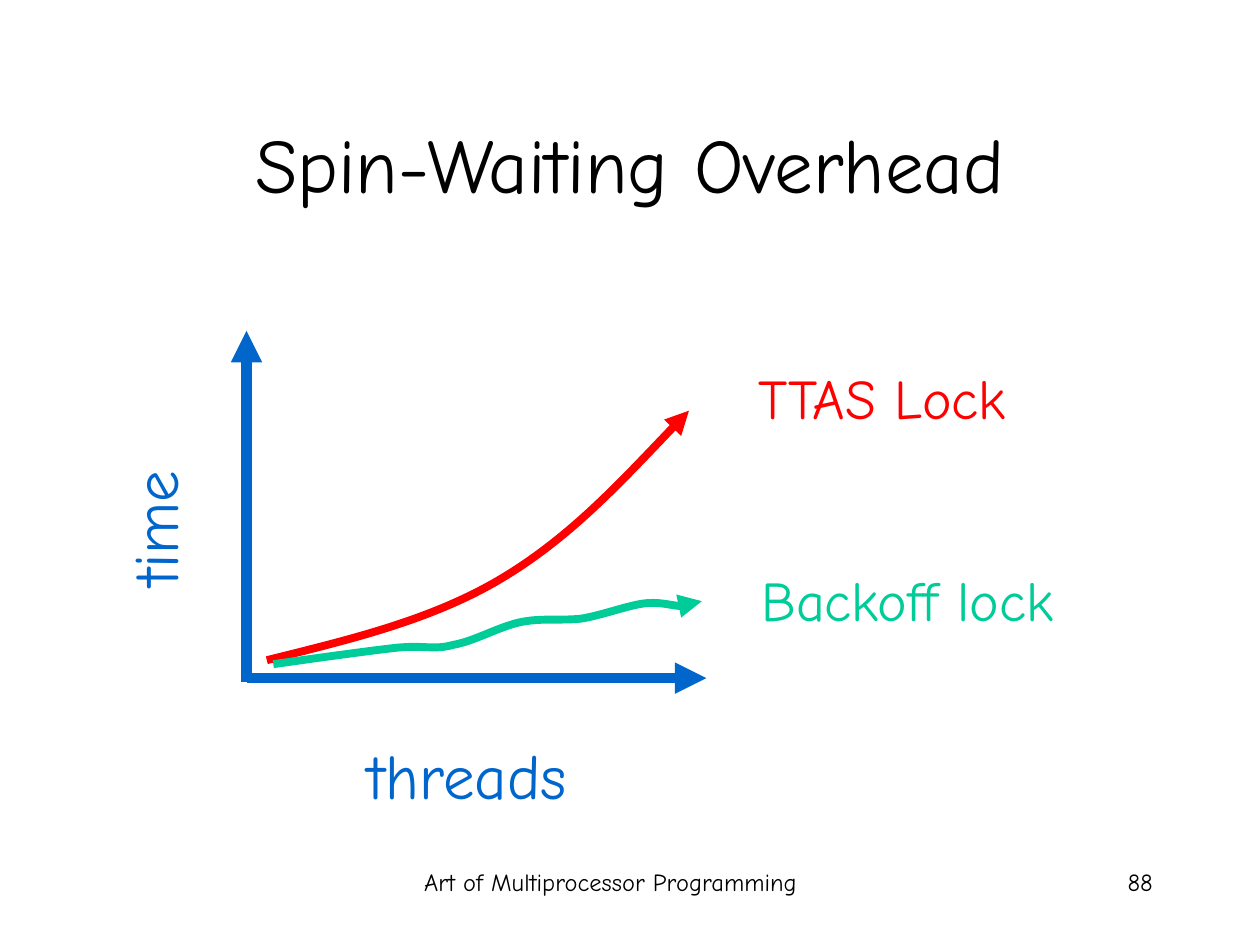
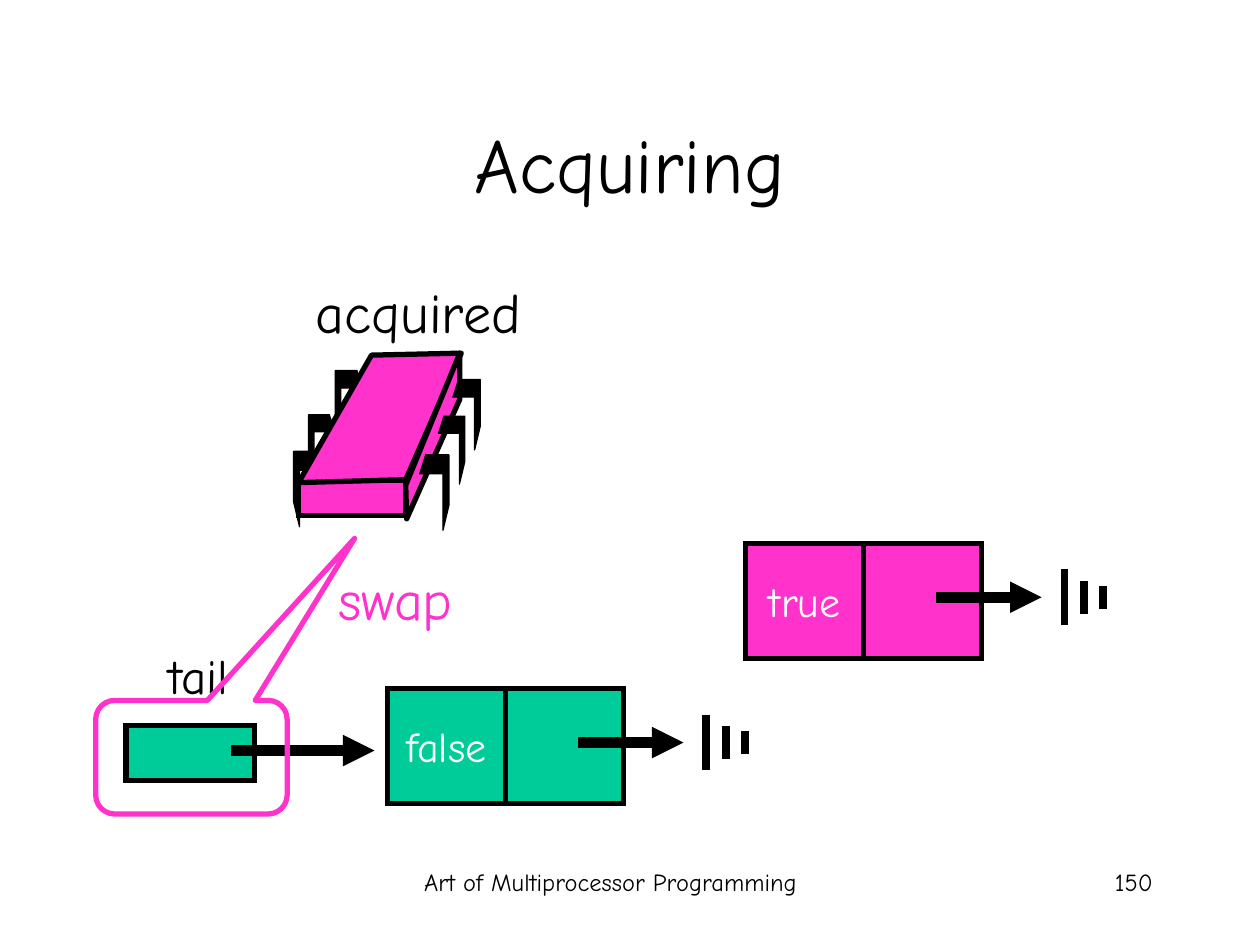
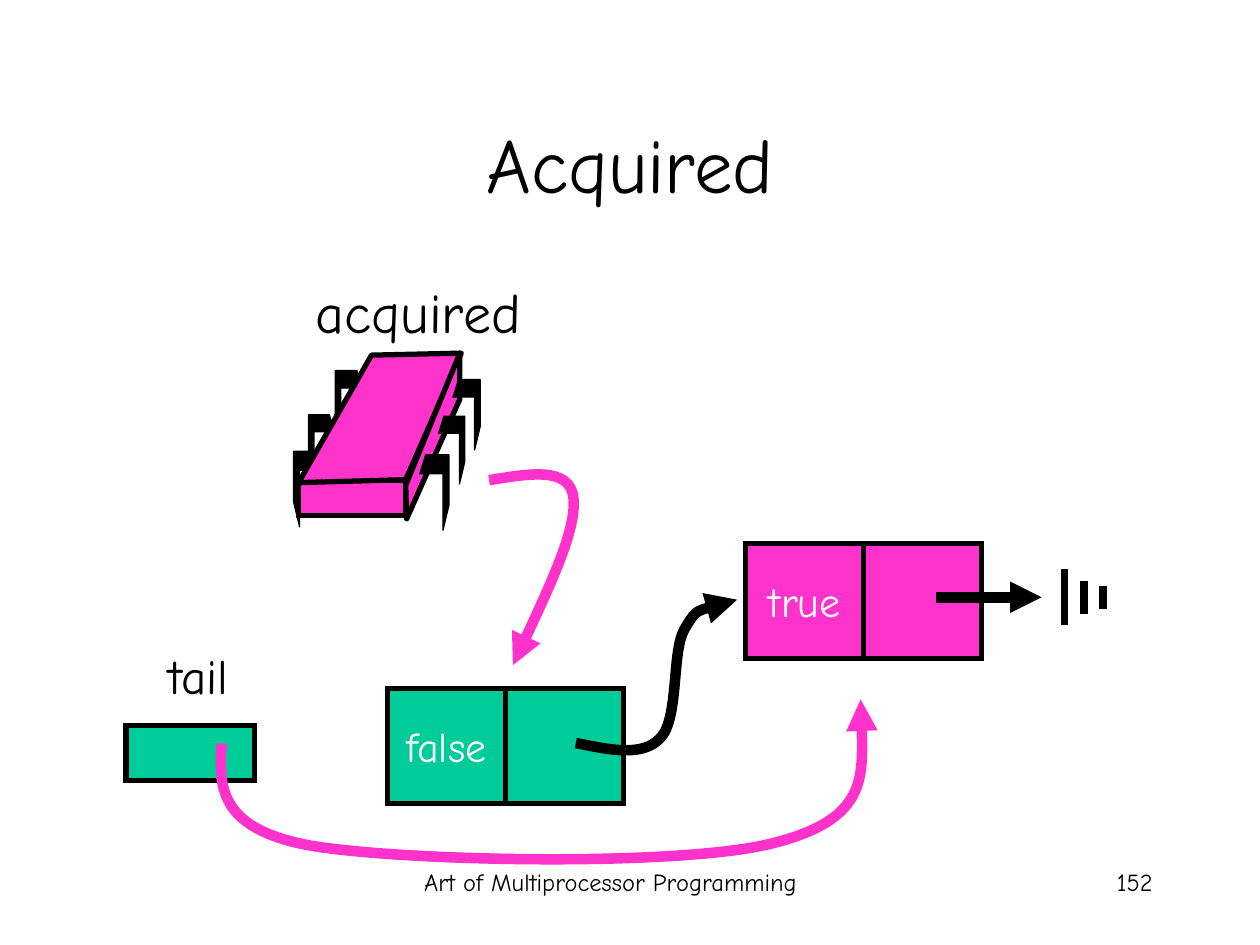
"""Build three lecture slides on spin locks and queue locks."""
from dataclasses import dataclass

from lxml import etree
from pptx import Presentation
from pptx.dml.color import RGBColor
from pptx.enum.shapes import MSO_CONNECTOR, MSO_SHAPE
from pptx.enum.text import MSO_ANCHOR, MSO_AUTO_SIZE, PP_ALIGN
from pptx.oxml.ns import qn
from pptx.util import Cm, Pt

LEFT, CENTER, RIGHT = PP_ALIGN.LEFT, PP_ALIGN.CENTER, PP_ALIGN.RIGHT
MIDDLE = MSO_ANCHOR.MIDDLE
FIT_SHAPE = MSO_AUTO_SIZE.SHAPE_TO_FIT_TEXT
STRAIGHT = MSO_CONNECTOR.STRAIGHT
RECT, CALLOUT = MSO_SHAPE.RECTANGLE, MSO_SHAPE.ROUNDED_RECTANGULAR_CALLOUT


@dataclass(frozen=True)
class Theme:
    font: str = "Comic Neue"
    black: str = "000000"
    white: str = "FFFFFF"
    blue: str = "0066CC"
    red: str = "FF0000"
    green: str = "00CC99"
    pink: str = "FF33CC"
    title: int = 44
    axis: int = 36
    label: int = 32
    small_label: int = 28
    cell: int = 24
    footer: int = 14
    thick: float = 6
    medium: float = 4.5
    border: float = 3
    hair: float = 0.75


T = Theme()

FOOTER = "Art of Multiprocessor Programming"
FOOTER_BOX = (7.33, 17.35, 9.96, 1.27)
NUMBER_BOX = (18.21, 17.35, 5.28, 1.27)
TITLE_BOX = (1.9, 1.68, 21.6, 3.18)

AXES = [((4.97, 13.74), (4.97, 6.67)), ((4.97, 13.67), (14.24, 13.67))]
AXIS_LABELS = [("time", (1.7, 9.75, 3.05, 2.03), 270),
               ("threads", (7.06, 14.72, 4.62, 2.03), 0)]
SERIES = [
    ("TTAS Lock", T.red, (14.94, 7.21, 5.59, 1.63),
     [(5.38, 13.31),
      (7.01, 12.9), (8.66, 12.52), (10.08, 11.68),
      (11.48, 10.85), (12.67, 9.55), (13.89, 8.28)]),
    ("Backoff lock", T.green, (15.06, 11.28, 6.43, 1.63),
     [(5.51, 13.39),
      (6.43, 13.26), (7.37, 13.13), (7.98, 13.06),
      (8.56, 13), (8.74, 13.11), (9.14, 13),
      (9.55, 12.93), (10.03, 12.65), (10.46, 12.55),
      (10.9, 12.45), (11.3, 12.52), (11.73, 12.47),
      (12.14, 12.4), (12.62, 12.22), (12.95, 12.17),
      (13.28, 12.12), (13.56, 12.22), (13.77, 12.22),
      (13.97, 12.22), (14.05, 12.17), (14.15, 12.12)]),
]

CELL_W, CELL_H = 2.38, 2.32
FALSE_NODE = ("false", T.green, 7.81, 13.88)
TRUE_NODE = ("true", T.pink, 15.03, 10.95)
NULL_START, NULL_LENGTH, NULL_Y = 3.84, 2.13, 1.09
GROUND_X, GROUND_GAP, GROUND_HALVES = 6.43, 0.39, (0.56, 0.33, 0.23)

TAIL_BOX = (2.54, 14.62, 2.59, 1.12)
TAIL_LABEL = (3.15, 12.88, 1.81, 1.45)
TAIL_ARROW = ((4.65, 15.13), (7.55, 15.13))
SWAP_CALLOUT = (1.93, 14.12, 3.86, 2.29)
SWAP_POINTER = (0.852, -1.926, 0.167)
SWAP_LABEL = (4.94, 11.25, 6.07, 1.63)

CHIP_LABEL = (6.1, 5.46, 4.67, 1.63)
CHIP_FRONT = (6.02, 9.69, 2.16, 0.71)
CHIP_TOP = [(6.02, 9.73), (8.18, 9.67), (9.3, 7.12), (7.49, 7.16)]
CHIP_SIDE = [(9.27, 7.12), (9.27, 8.05), (8.2, 10.46), (8.18, 9.78)]
LEG_OUTLINE = [(0.8, 0), (0, 0), (0, 0.67), (0.2, 1), (0.2, 0.25), (1, 0.25)]
LEG_SIZES = [(0.6, 1.52), (0.54, 1.37), (0.56, 1.42)]
LEFT_LEGS = [(5.92, 9.1), (6.22, 8.36), (6.76, 7.47)]
RIGHT_LEGS = [(8.45, 9.17), (8.83, 8.39), (9.12, 7.65)]

QUEUE_LINKS = [
    (T.pink, [(9.86, 9.68),
              (10.67, 9.55), (11.48, 9.4), (11.56, 10.03),
              (11.63, 10.64), (11, 12.01), (10.34, 13.41)]),
    (T.pink, [(4.47, 14.99),
              (4.42, 15.82), (4.37, 16.69), (6.22, 17.04),
              (8.08, 17.37), (13.79, 17.48), (15.62, 16.99),
              (17.48, 16.51), (17.42, 15.29), (17.35, 14.1)]),
    (T.black, [(11.61, 14.98),
               (12.27, 15.11), (12.95, 15.27), (13.31, 14.88),
               (13.69, 14.5), (13.54, 13.16), (13.79, 12.7),
               (14.05, 12.24), (14.45, 12.17), (14.86, 12.09)]),
]


def cm(values):
    return [Cm(v) for v in values]


def write(tf, text, size, color, align):
    p = tf.paragraphs[0]
    p.text, p.alignment = text, align
    p.font.name, p.font.size = T.font, Pt(size)
    p.font.color.rgb = RGBColor.from_string(color)


def add_text(shapes, text, box, size, color=T.black, align=LEFT, wrap=False):
    sp = shapes.add_textbox(*cm(box))
    sp.text_frame.word_wrap = wrap
    if not wrap:
        sp.text_frame.auto_size = FIT_SHAPE
    write(sp.text_frame, text, size, color, align)
    return sp


def paint(sp, fill, line, width):
    sp.shadow.inherit = False
    if fill:
        sp.fill.solid()
        sp.fill.fore_color.rgb = RGBColor.from_string(fill)
    else:
        sp.fill.background()
    sp.line.color.rgb = RGBColor.from_string(line)
    sp.line.width = Pt(width)


def add_line_part(sp, tag, **attributes):
    ln = sp.element.spPr.find(qn("a:ln"))
    etree.SubElement(ln, qn(tag), **attributes)


def add_arrowhead(sp):
    add_line_part(sp, "a:tailEnd", type="triangle")


def add_line(shapes, start, end, color=T.black, width=T.thick, arrow=True):
    line = shapes.add_connector(STRAIGHT, *cm(start + end))
    line.line.color.rgb = RGBColor.from_string(color)
    line.line.width = Pt(width)
    if arrow:
        add_arrowhead(line)
    etree.SubElement(line.element.spPr, qn("a:effectLst"))


def add_box(shapes, box, fill):
    sp = shapes.add_shape(RECT, *cm(box))
    paint(sp, fill, T.black, T.border)
    add_line_part(sp, "a:miter", lim="800000")
    return sp


def add_outline(shapes, points, fill, line, width, close=False):
    start, *rest = [cm(point) for point in points]
    builder = shapes.build_freeform(*start)
    builder.add_line_segments(rest, close=close)
    sp = builder.convert_to_shape()
    paint(sp, fill, line, width)
    return sp


def add_curve(shapes, points, color, width):
    """Turn each three points after the first into one Bézier segment."""
    sp = add_outline(shapes, points, None, color, width)
    outline = next(sp.element.iter(qn("a:path")))
    steps = outline.findall(qn("a:lnTo"))
    for i in range(0, len(steps), 3):
        bezier = etree.SubElement(outline, qn("a:cubicBezTo"))
        for step in steps[i:i + 3]:
            bezier.append(step[0])
            outline.remove(step)
    add_arrowhead(sp)


def add_slide(prs, title, number):
    s = prs.slides.add_slide(prs.slide_layouts[5])
    sp = s.shapes.title
    sp.left, sp.top, sp.width, sp.height = cm(TITLE_BOX)
    sp.text_frame.vertical_anchor = MIDDLE
    write(sp.text_frame, title, T.title, T.black, CENTER)
    add_text(s.shapes, FOOTER, FOOTER_BOX, T.footer, align=CENTER, wrap=True)
    add_text(s.shapes, number, NUMBER_BOX, T.footer, align=RIGHT, wrap=True)
    return s.shapes


def add_node(shapes, node, null=True):
    text, fill, x, y = node
    value = add_box(shapes, (x, y, CELL_W, CELL_H), fill)
    value.text_frame.word_wrap = False
    value.text_frame.vertical_anchor = MIDDLE
    write(value.text_frame, text, T.cell, T.white, CENTER)
    add_box(shapes, (x + CELL_W, y, CELL_W, CELL_H), fill)
    if null:
        start, mid = x + NULL_START, y + NULL_Y
        add_line(shapes, (start, mid), (start + NULL_LENGTH, mid))
        ground = shapes.add_group_shape().shapes
        for i, half in enumerate(GROUND_HALVES):
            bar = x + GROUND_X + i * GROUND_GAP
            add_line(ground, (bar, mid - half), (bar, mid + half),
                     width=T.medium, arrow=False)


def add_legs(shapes, corners, mirrored):
    for (x, y), (w, h) in zip(corners, LEG_SIZES):
        points = [(x + w * (1 - u if mirrored else u), y + h * v)
                  for u, v in LEG_OUTLINE]
        add_outline(shapes, points, T.black, T.black, T.hair)


def add_chip(shapes):
    chip = shapes.add_group_shape().shapes
    add_box(chip, CHIP_FRONT, T.pink)
    add_legs(chip, LEFT_LEGS, mirrored=False)
    for face in (CHIP_TOP, CHIP_SIDE):
        add_outline(chip, face, T.pink, T.black, T.border, close=True)
    add_legs(chip, RIGHT_LEGS, mirrored=True)
    add_text(chip, "acquired", CHIP_LABEL, T.label, align=CENTER)


def add_queue(shapes, false_null):
    add_box(shapes, TAIL_BOX, T.green)
    add_text(shapes, "tail", TAIL_LABEL, T.small_label)
    add_node(shapes, FALSE_NODE, null=false_null)
    add_node(shapes, TRUE_NODE)
    add_chip(shapes)


def build_overhead(prs):
    shapes = add_slide(prs, "Spin-Waiting Overhead", "88")
    for start, end in AXES:
        add_line(shapes, start, end, T.blue)
    for text, color, box, points in SERIES:
        add_text(shapes, text, box, T.label, color, RIGHT)
        add_curve(shapes, points, color, T.medium)
    for text, box, rotation in AXIS_LABELS:
        sp = add_text(shapes, text, box, T.axis, T.blue, RIGHT)
        sp.rotation = rotation


def build_acquiring(prs):
    shapes = add_slide(prs, "Acquiring", "150")
    add_queue(shapes, false_null=True)
    add_line(shapes, *TAIL_ARROW)
    callout = shapes.add_shape(CALLOUT, *cm(SWAP_CALLOUT))
    for i, value in enumerate(SWAP_POINTER):
        callout.adjustments[i] = value
    paint(callout, None, T.pink, T.border)
    add_text(shapes, "swap", SWAP_LABEL, T.label, T.pink, CENTER, wrap=True)


def build_acquired(prs):
    shapes = add_slide(prs, "Acquired", "152")
    add_queue(shapes, false_null=False)
    for color, points in QUEUE_LINKS:
        add_curve(shapes, points, color, T.thick)


def main():
    prs = Presentation()
    prs.slide_width, prs.slide_height = Cm(25.4), Cm(19.05)
    build_overhead(prs)
    build_acquiring(prs)
    build_acquired(prs)
    prs.save("out.pptx")


if __name__ == "__main__":
    main()
